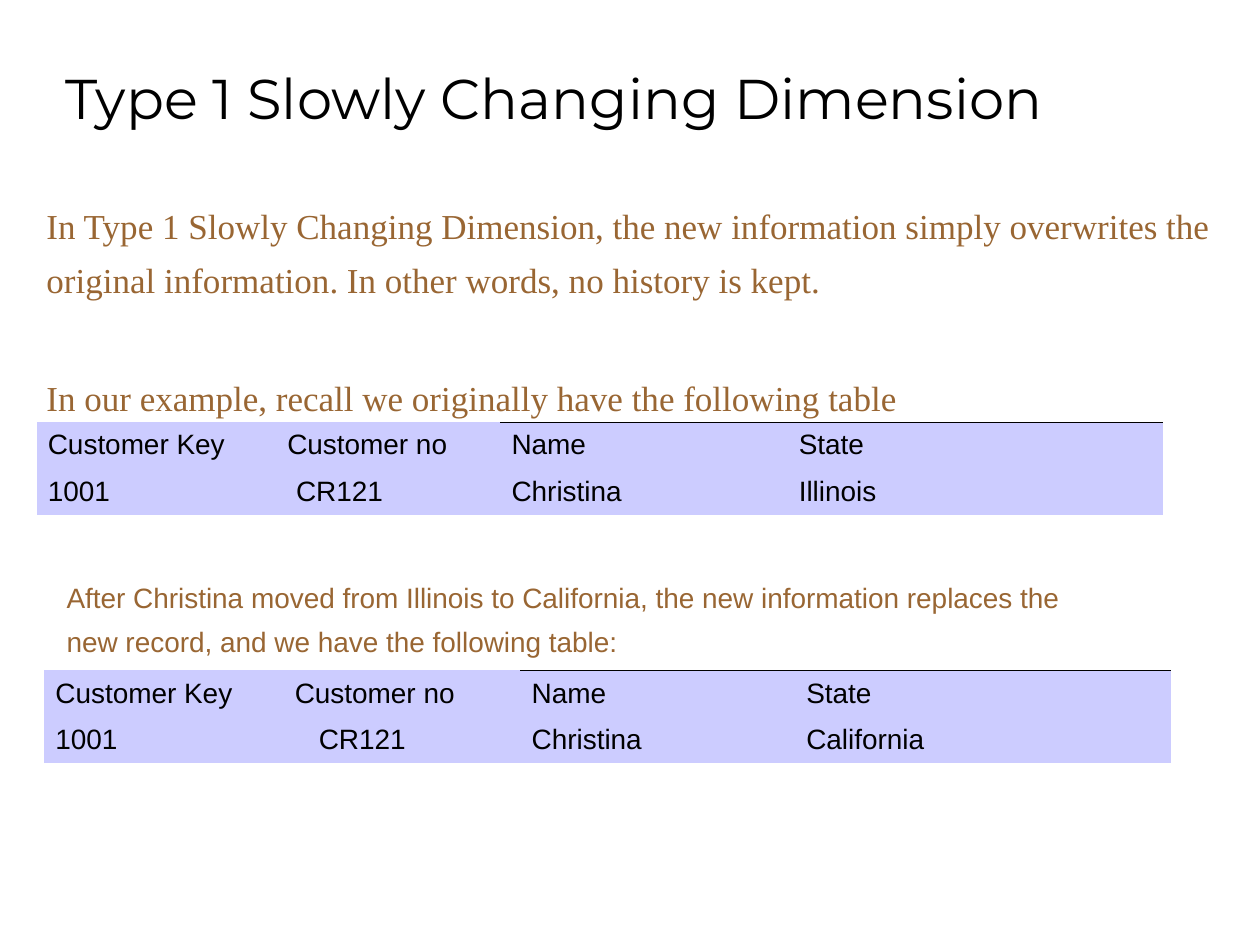
"""Build the slide on the Type 1 slowly changing dimension."""
from dataclasses import dataclass
from lxml.etree import SubElement as Sub
from pptx import Presentation as Deck
from pptx.dml.color import RGBColor as Rgb
from pptx.enum.text import MSO_ANCHOR as Anchor, PP_ALIGN as Align
from pptx.oxml import parse_xml
from pptx.oxml.ns import nsdecls, qn
from pptx.util import Inches, Pt


@dataclass(frozen=True)
class Theme:
    ink: str = "000000"
    brown: str = "996633"
    lilac: str = "CCCCFF"
    sans: str = "Arial"
    serif: str = "Times New Roman"
    head: str = "Montserrat"
    big: int = 32
    mid: int = 20
    small: int = 16
    plain: str = "{2D5ABB26-0587-4C30-8999-92F81FD0307C}"


LOOK = Theme()
TITLE = "Type 1 Slowly Changing Dimension"
HEAD = ("Customer Key\tCustomer no", "Name", "State")
NOTES = [
    {"box": (0.27, 1.47, 9.53, 1.91), "font": LOOK.serif, "size": LOOK.mid,
     "gaps": (0, 36),
     "lines": ("In Type 1 Slowly Changing Dimension, the new information simply "
               "overwrites the original information. In other words, no history is kept.",
               "In our example, recall we originally have the following table")},
    {"box": (0.43, 4.48, 8.35, 0.8), "font": LOOK.sans, "size": LOOK.small,
     "gaps": (0,),
     "lines": ("After Christina moved from Illinois to California, the new information "
               "replaces the new record, and we have the following table:",)},
]
TABLES = [
    {"at": (0.29, 3.35), "cols": (3.68, 2.28, 2.98), "tabs": (1.9, 1.97),
     "rows": (HEAD, ("1001\tCR121", "Christina", "Illinois"))},
    {"at": (0.35, 5.32), "cols": (3.78, 2.18, 2.98), "tabs": (1.9, 2.09),
     "rows": (HEAD, ("1001\tCR121", "Christina", "California"))},
]
ROW = 0.36


def write(para, text, name, size, color):
    run = para.add_run()
    run.text = text
    run.font.name, run.font.size = name, Pt(size)
    run.font.color.rgb = Rgb.from_string(color)


def add_note(slide, note):
    frame = slide.shapes.add_textbox(*map(Inches, note["box"])).text_frame
    frame.word_wrap = True
    for i, (line, gap) in enumerate(zip(note["lines"], note["gaps"])):
        para = frame.add_paragraph() if i else frame.paragraphs[0]
        para.line_spacing, para.space_before = 1.3, Pt(gap)
        write(para, line, note["font"], note["size"], LOOK.brown)


def add_tab(para, stop):
    tabs = Sub(para._p.get_or_add_pPr(), qn("a:tabLst"))
    Sub(tabs, qn("a:tab"), pos=str(Inches(stop)), algn="l")


def add_rule(cell):
    cell._tc.get_or_add_tcPr().insert(0, parse_xml(
        f'<a:lnT {nsdecls("a")} w="{Pt(0.45)}"><a:solidFill>'
        f'<a:srgbClr val="{LOOK.ink}"/></a:solidFill></a:lnT>'))


def add_grid(slide, data):
    rows, cols = data["rows"], data["cols"]
    size = sum(cols), ROW * len(rows)
    grid = slide.shapes.add_table(
        len(rows), len(cols), *map(Inches, data["at"] + size)).table
    grid.first_row = grid.horz_banding = False
    grid._tbl.tblPr.find(qn("a:tableStyleId")).text = LOOK.plain
    for col, width in zip(grid.columns, cols):
        col.width = Inches(width)
    for r, row in enumerate(rows):
        grid.rows[r].height = Inches(ROW)
        for c, text in enumerate(row):
            cell = grid.cell(r, c)
            cell.vertical_anchor = Anchor.MIDDLE
            cell.margin_left = cell.margin_right = Inches(0.09)
            cell.fill.solid()
            cell.fill.fore_color.rgb = Rgb.from_string(LOOK.lilac)
            para = cell.text_frame.paragraphs[0]
            if c == 0:
                add_tab(para, data["tabs"][r])
            elif r == 0:
                add_rule(cell)
            write(para, text, LOOK.sans, LOOK.small, LOOK.ink)


def add_title(slide):
    title = slide.shapes.title
    title.left, title.top, title.width, title.height = map(
        Inches, (0.42, 0.17, 9.15, 0.92))
    frame = title.text_frame
    frame.vertical_anchor = Anchor.BOTTOM
    para = frame.paragraphs[0]
    para.alignment = Align.LEFT
    write(para, TITLE, LOOK.head, LOOK.big, LOOK.ink)


def main():
    deck = Deck()
    deck.slide_width, deck.slide_height = Inches(10), Inches(7.5)
    slide = deck.slides.add_slide(deck.slide_layouts[5])
    add_title(slide)
    for note in NOTES:
        add_note(slide, note)
    for data in TABLES:
        add_grid(slide, data)
    deck.save("out.pptx")


if __name__ == "__main__":
    main()
